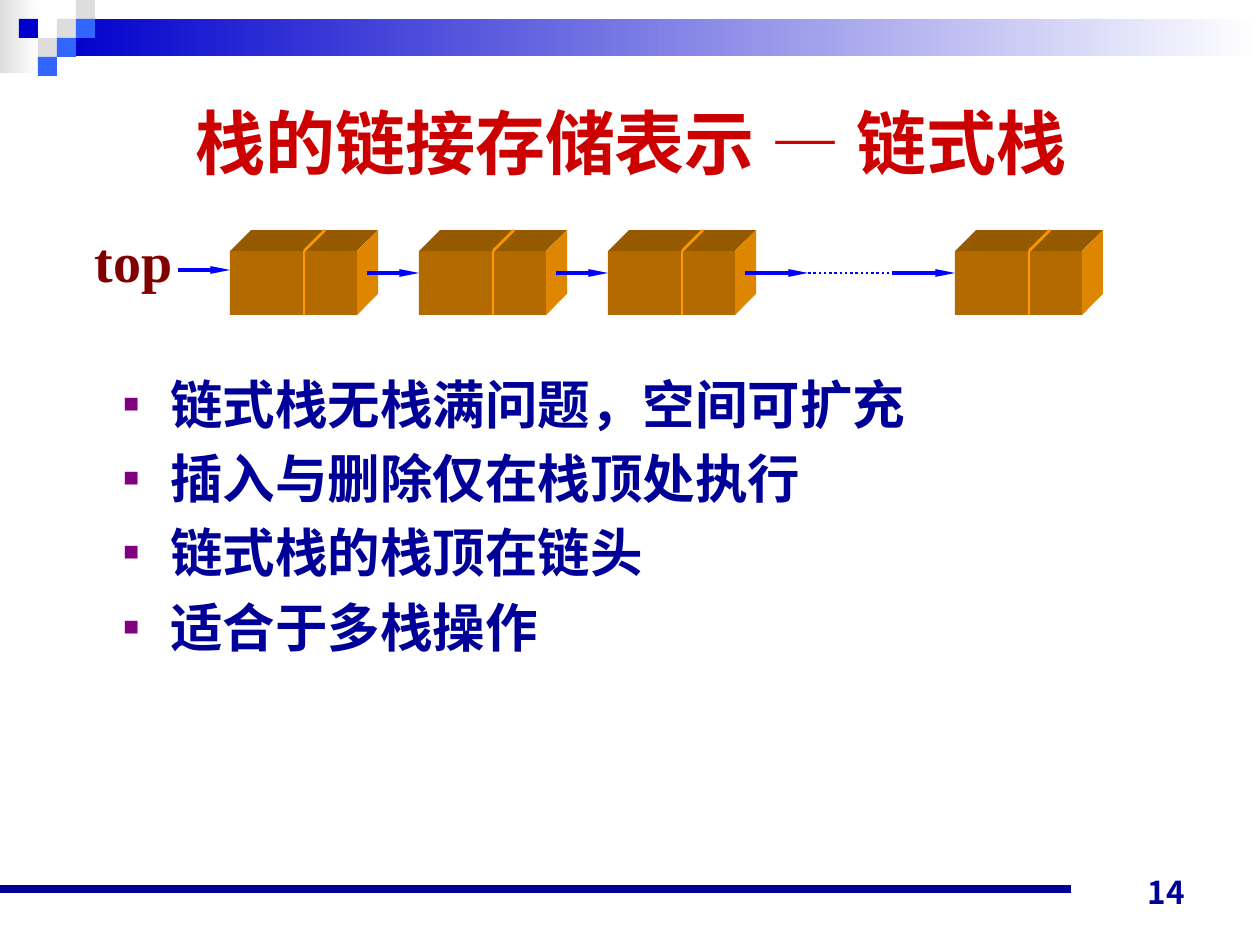
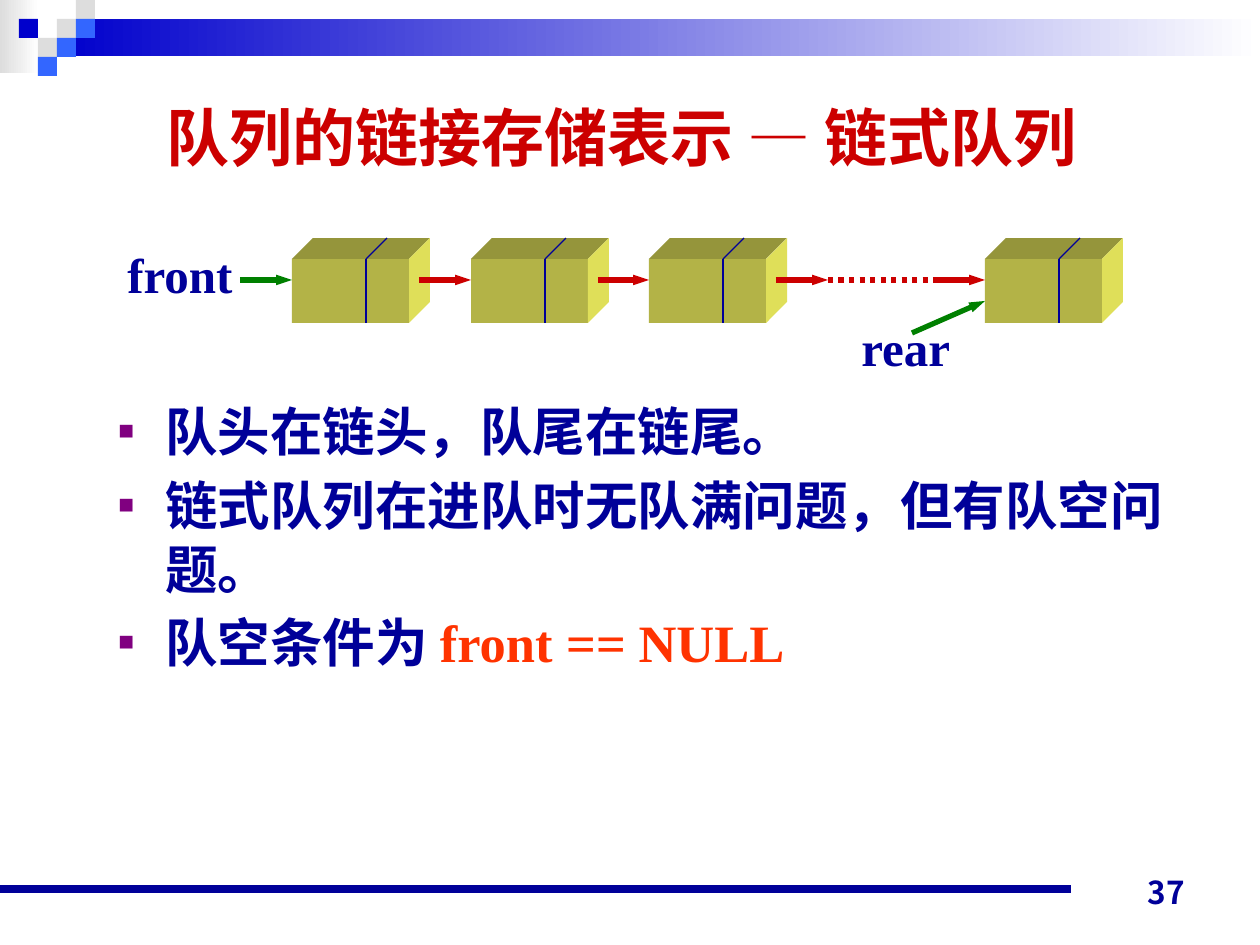
from pptx import Presentation, util as u
from pptx.dml.color import RGBColor
from pptx.enum import dml, shapes, text
from pptx.oxml.ns import qn
from lxml import etree

PX = 914400 / 126
CJK, SANS, SERIF = "Noto Sans CJK JP", "Arial", "Times New Roman"
NAVY, RED, GREY, SKY, DEEP = "000099", "CC0000", "DDDDDD", "3366FF", "0000CC"
WHITE, PLUM, GREEN, FLAME = "FFFFFF", "800080", "008000", "FF3300"
hue = RGBColor.from_string


def link(slide, ends, color, width, head=None, dots=False):
    """Draw a line; head is the length of its arrowhead, if it has one."""
    line = slide.shapes.add_connector(
        shapes.MSO_CONNECTOR.STRAIGHT, *[int(v * PX) for v in ends])
    line.line.color.rgb = hue(color)
    line.line.width = u.Pt(width)
    if dots:
        line.line.dash_style = dml.MSO_LINE.ROUND_DOT
    if head:
        etree.SubElement(line.line._get_or_add_ln(), qn("a:tailEnd"),
                         type="triangle", w="sm", len=head)
    etree.SubElement(line._element.spPr, qn("a:effectLst"))


def write(slide, rect, paras, anchor="TOP", align="LEFT", wrap=True, list_gap=None):
    """Set paragraphs of (text, font, size, color, bold, italic) runs.

    list_gap is (line height, space before) in points for a bullet list.
    """
    box = slide.shapes.add_textbox(*[int(v * PX) for v in rect])
    frame = box.text_frame
    frame.word_wrap = wrap
    frame.vertical_anchor = getattr(text.MSO_ANCHOR, anchor)
    for i, runs in enumerate(paras):
        para = frame.paragraphs[0] if i == 0 else frame.add_paragraph()
        para.alignment = getattr(text.PP_ALIGN, align)
        if list_gap:
            props = para._p.get_or_add_pPr()
            props.set("marL", str(int(47 * PX)))
            props.set("indent", str(int(-47 * PX)))
            tint = etree.SubElement(props, qn("a:buClr"))
            etree.SubElement(tint, qn("a:srgbClr"), val=PLUM)
            etree.SubElement(props, qn("a:buSzPct"), val="50000")
            etree.SubElement(props, qn("a:buFont"), typeface=SANS)
            etree.SubElement(props, qn("a:buChar"), char="■")
            para.line_spacing = u.Pt(list_gap[0])
            para.space_before = u.Pt(list_gap[1] if i else 0)
        for words, face, size, color, bold, slant in runs:
            run = para.add_run()
            run.text = words
            font = run.font
            font.name, font.size = face, u.Pt(size)
            font.bold, font.italic = bold, slant
            font.color.rgb = hue(color)
            etree.SubElement(run._r.get_or_add_rPr(), qn("a:ea"), typeface=CJK)


squares = [(3, 1, GREY), (4, 0, GREY), (4, 1, SKY), (2, 2, GREY),
           (1, 1, DEEP), (3, 2, SKY), (2, 3, SKY)]

pages = [
    dict(
        num="14", size=40, title=("栈的链接存储表示 ", "链式栈"), dash_bold=True,
        title_at=(183, 89, 937, 105), body_at=(111, 362, 1040, 364), gap=(38.4, 3.9),
        body=[[(words, SANS, 30, NAVY, True, False)] for words in (
            "链式栈无栈满问题，空间可扩充", "插入与删除仅在栈顶处执行",
            "链式栈的栈顶在链头", "适合于多栈操作")],
        nodes=(230, 419, 608, 955), top=251, wide=127, faces=("B36B00", "955900", "DF8600"),
        split=("FF9900", 1.5), arrow=("0000FF", 2.25, "lg"), dot_width=1.5,
        row=273, step=63,
        labels=[("top", 32, "800000", (82, 220, 103, 79))],
        marks=[((178, 270, 230, 270), "0000FF", 2.25, "lg")]),
    dict(
        num="37", size=36, title=("队列的链接存储表示 ", "链式队列"), dash_bold=False,
        title_at=(154, 79, 949, 115), body_at=(106, 392, 1090, 334), gap=(36.6, 5.3),
        body=[[("队头在链头，队尾在链尾。", SANS, 30, NAVY, True, False)],
              [("链式队列在进队时无队满问题，但有队空问题。", SANS, 30, NAVY, True, False)],
              [("队空条件为 ", SANS, 30, NAVY, True, False),
               ("front ", SERIF, 30, FLAME, True, False),
               ("==", SERIF, 30, FLAME, True, True),
               (" NULL", SERIF, 30, FLAME, True, False)]],
        nodes=(292, 471, 649, 985), top=259, wide=117, faces=("B3B347", "95953B", "DFDF59"),
        split=(NAVY, 0.75), arrow=(RED, 3, "med"), dot_width=3,
        row=280, step=52,
        labels=[("front", 28, NAVY, (115, 238, 132, 72)),
                ("rear", 28, NAVY, (849, 311, 115, 72))],
        marks=[((240, 280, 292, 280), GREEN, 3, "med"),
               ((912, 333, 985, 301), GREEN, 3, "med")]),
]

TALL, DEPTH, SPLIT = 64, 21, 74

deck = Presentation()
deck.slide_width, deck.slide_height = u.Inches(10), u.Inches(7.5)

for page in pages:
    slide = deck.slides.add_slide(deck.slide_layouts[6])

    # Header band, its squares and the front faces of the nodes
    top, wide = page["top"], page["wide"]
    front, lid, side = page["faces"]
    rects = [((0, 0, 39, 73), (GREY, WHITE)), ((57, 19, 1203, 37), (DEEP, WHITE))]
    rects += [((19 * col, 19 * row, 19, 19), color) for col, row, color in squares]
    rects += [((x, top, wide, TALL), front) for x in page["nodes"]]
    solids = [(slide.shapes.add_shape(shapes.MSO_SHAPE.RECTANGLE,
                                      *[int(v * PX) for v in rect]), color)
              for rect, color in rects]

    # Lids and sides give the nodes depth
    for x in page["nodes"]:
        end, low, back = x + wide, top + TALL, top - DEPTH
        for color, start, *rest in (
                (lid, (x, top), (x + DEPTH, back), (end + DEPTH, back), (end, top)),
                (side, (end, top), (end + DEPTH, back), (end + DEPTH, low - DEPTH),
                 (end, low))):
            path = slide.shapes.build_freeform(*start, scale=PX)
            path.add_line_segments(rest)
            solids.append((path.convert_to_shape(), color))

    for solid, color in solids:
        solid.shadow.inherit = False
        solid.line.fill.background()
        if isinstance(color, tuple):
            solid.fill.gradient()
            solid.fill.gradient_angle = 0
            for stop, tint in zip(solid.fill.gradient_stops, color):
                stop.color.rgb = hue(tint)
        else:
            solid.fill.solid()
            solid.fill.fore_color.rgb = hue(color)

    # Title, list and footer
    lead, tail = page["title"]
    size = page["size"]
    write(slide, page["title_at"],
          [[(lead, CJK, size, RED, True, False),
            ("— ", SANS, size, RED, page["dash_bold"], False),
            (tail, CJK, size, RED, True, False)]], anchor="MIDDLE")
    write(slide, page["body_at"], page["body"], list_gap=page["gap"])
    link(slide, (0, 889, 1071, 889), NAVY, 4.5)
    write(slide, (903, 854, 294, 63), [[(page["num"], CJK, 18, NAVY, True, False)]],
          anchor="BOTTOM", align="RIGHT")

    # Chain: split lines, links between nodes and the dotted gap
    nodes, row, step = page["nodes"], page["row"], page["step"]
    for x in nodes:
        mid = x + SPLIT
        link(slide, (mid, top, mid, top + TALL), *page["split"])
        link(slide, (mid, top, mid + DEPTH, top - DEPTH), *page["split"])
    out = wide + 10
    gap = nodes[2] + out + step, nodes[3] - step
    spans = [(nodes[0] + out, nodes[1]), (nodes[1] + out, nodes[2]),
             (nodes[2] + out, gap[0]), (gap[1], nodes[3])]
    for start, end in spans:
        link(slide, (start, row, end, row), *page["arrow"])
    link(slide, (gap[0], row, gap[1], row), page["arrow"][0], page["dot_width"], dots=True)

    # Pointers into the chain
    for words, size, color, rect in page["labels"]:
        write(slide, rect, [[(words, SERIF, size, color, True, False)]], wrap=False)
    for mark in page["marks"]:
        link(slide, *mark)

deck.save("out.pptx")
